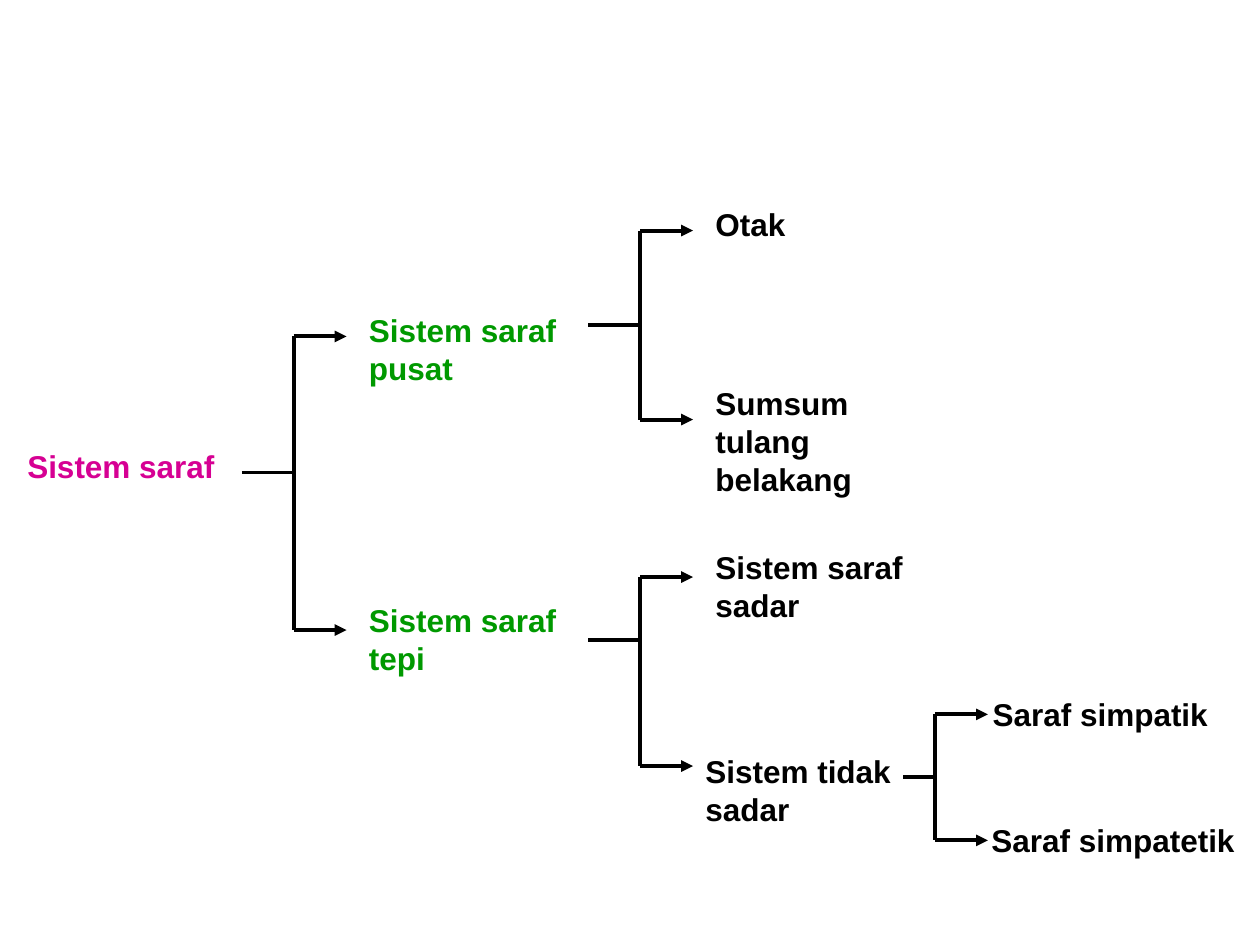
from dataclasses import dataclass

from lxml import etree
from pptx import Presentation
from pptx import util as u
from pptx.dml import color
from pptx.enum import shapes, text
from pptx.oxml import ns


@dataclass(frozen=True)
class Theme:
    font: str = "Arial"
    size: int = 18
    root: str = "D60093"
    division: str = "009900"
    ink: str = "000000"
    line_width: float = 2.25


THEME = Theme()
ARROW_LENGTH = 0.42

LABELS = [
    ("Sistem saraf", 0, 3.5, 1.92, 0.4, THEME.root),
    ("Sistem saraf pusat", 2.83, 2.42, 1.75, 0.7, THEME.division),
    ("Sistem saraf tepi", 2.83, 4.72, 1.92, 0.7, THEME.division),
    ("Otak", 5.58, 1.58, 1.67, 0.4, THEME.ink),
    ("Sumsum tulang belakang", 5.58, 3, 1.67, 1, THEME.ink),
    ("Sistem saraf sadar", 5.58, 4.3, 2.33, 0.7, THEME.ink),
    ("Sistem tidak sadar", 5.5, 5.92, 2.33, 0.7, THEME.ink),
    ("Saraf simpatik", 7.78, 5.47, 2.33, 0.4, THEME.ink),
    ("Saraf simpatetik", 7.77, 6.47, 2.33, 0.4, THEME.ink),
]

# stem start, stem height, spine position, upper branch, lower branch
BRACKETS = [
    (1.92, 3.75, 2.33, 2.67, 5),
    (4.67, 2.58, 5.08, 1.83, 3.33),
    (4.67, 5.08, 5.08, 4.58, 6.08),
    (7.17, 6.17, 7.42, 5.67, 6.67),
]


def add_label(page, words, left, top, width, height, ink):
    box = page.shapes.add_textbox(*map(u.Inches, (left, top, width, height)))
    frame = box.text_frame
    frame.word_wrap = True
    frame.auto_size = text.MSO_AUTO_SIZE.SHAPE_TO_FIT_TEXT
    para = frame.paragraphs[0]
    para.text = words
    para.alignment = text.PP_ALIGN.CENTER if ink == THEME.root else text.PP_ALIGN.LEFT
    para.font.name = THEME.font
    para.font.size = u.Pt(THEME.size)
    para.font.bold = True
    para.font.color.rgb = color.RGBColor.from_string(ink)


def add_line(page, start, end, arrow=False):
    line = page.shapes.add_connector(
        shapes.MSO_CONNECTOR.STRAIGHT, *map(u.Inches, (*start, *end))
    )
    line.line.color.rgb = color.RGBColor.from_string(THEME.ink)
    line.line.width = u.Pt(THEME.line_width)
    properties = line._element.spPr
    if arrow:
        outline = properties.find(ns.qn("a:ln"))
        etree.SubElement(outline, ns.qn("a:tailEnd"), type="triangle")
    etree.SubElement(properties, ns.qn("a:effectLst"))


def add_bracket(page, stem, middle, spine, upper, lower):
    add_line(page, (stem, middle), (spine, middle))
    add_line(page, (spine, upper), (spine, lower))
    for branch in (upper, lower):
        add_line(page, (spine, branch), (spine + ARROW_LENGTH, branch), arrow=True)


def main():
    deck = Presentation()
    deck.slide_width = u.Inches(10)
    deck.slide_height = u.Inches(7.5)
    page = deck.slides.add_slide(deck.slide_layouts[6])
    for label in LABELS:
        add_label(page, *label)
    for bracket in BRACKETS:
        add_bracket(page, *bracket)
    deck.save("out.pptx")


if __name__ == "__main__":
    main()
